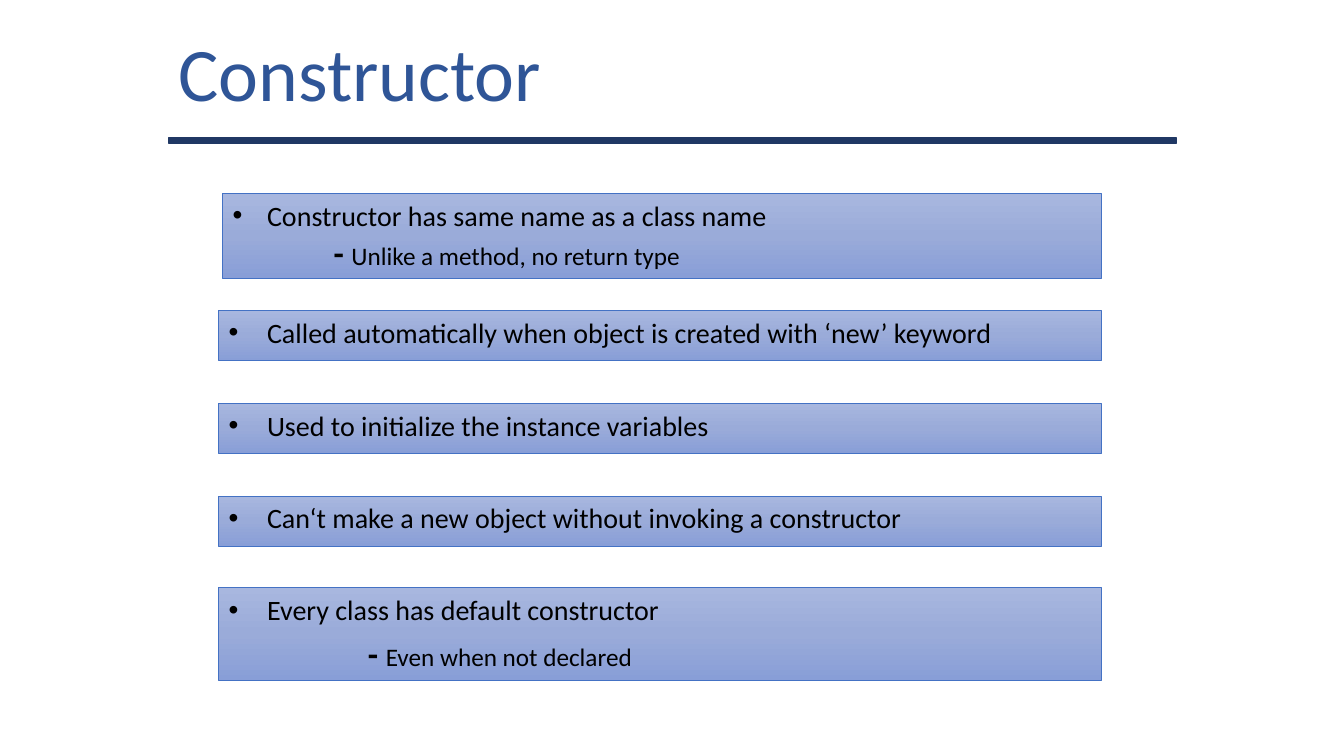
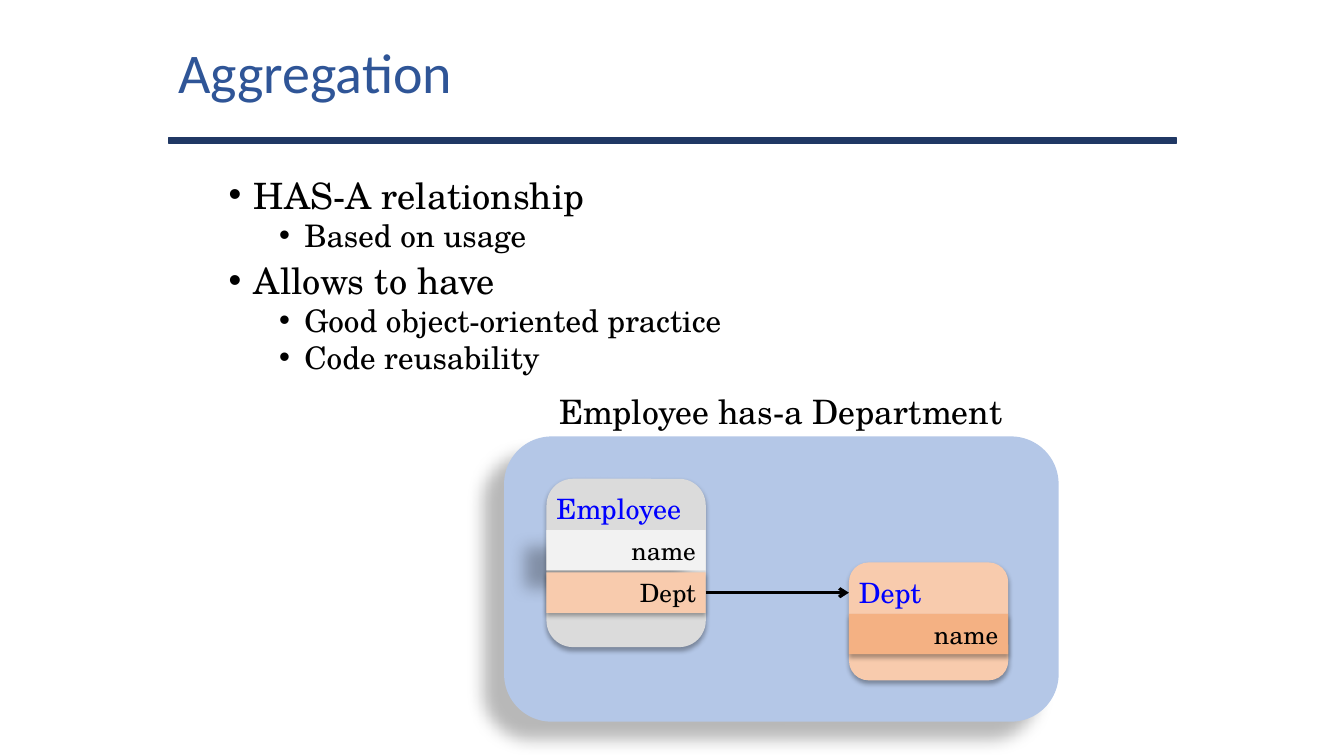
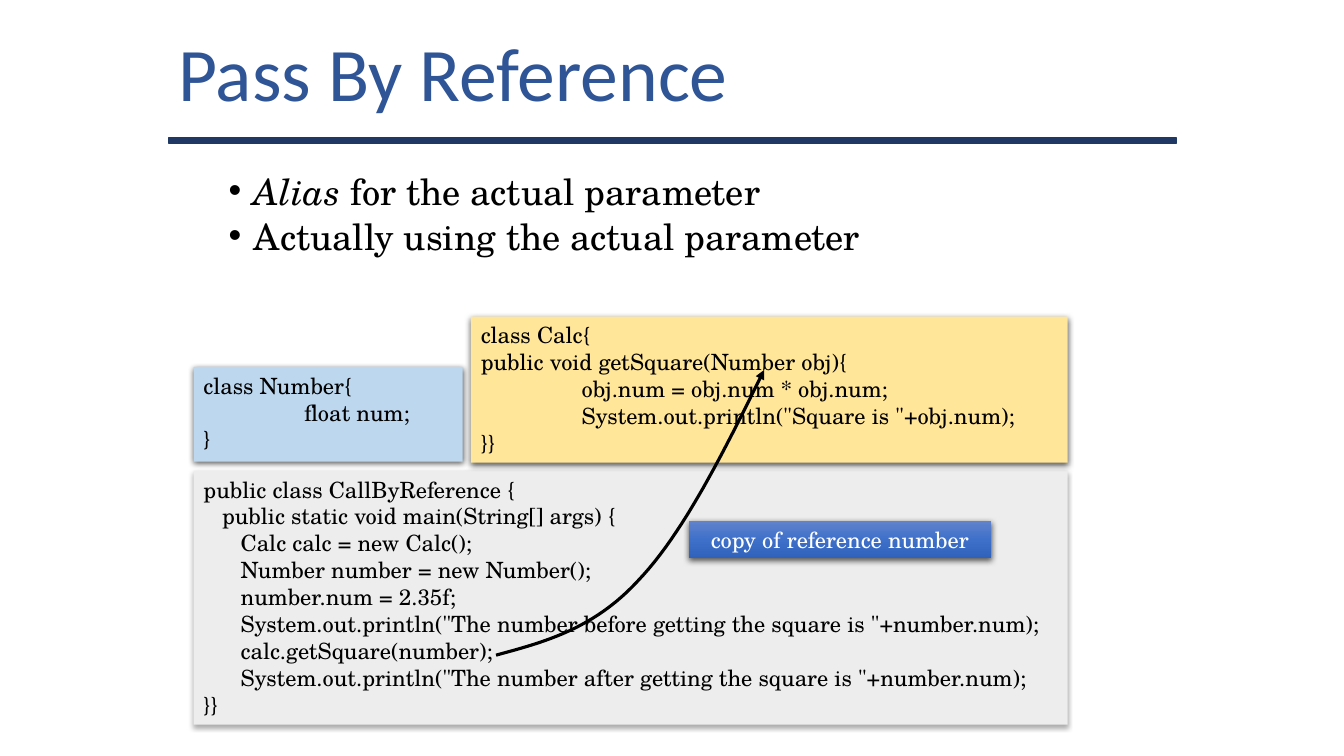
from copy import deepcopy

from lxml import etree
from pptx import Presentation
from pptx.dml.color import RGBColor
from pptx.enum import shapes, text
from pptx.oxml.ns import qn
from pptx.util import Inches, Pt

COLORS = {
    "navy": "203864", "title": "2F5597", "border": "4472C4",
    "black": "000000", "white": "FFFFFF", "class_name": "0000FF",
    "panel": "B4C7E7", "grey": "DBDBDB", "light_grey": "F2F2F2",
    "peach": "F8CBAD", "orange": "F4B183",
    "main_code": "EDEDED", "calc_code": "FFE699", "number_code": "BDD7EE",
}
PALE_GRADIENT = ("A8B7DF", "9AABD9", "889ED7")
BLUE_GRADIENT = ("6183CB", "3E70CA", "3062BB")
SANS, SERIF = "Calibri", "TeX Gyre Schola"

# Opacity in percent, blur and distance in points, direction in degrees
DEEP_SHADOW = (28, 11.8, 19.7, 141)
SOFT_SHADOW = (32, 3.5, 2.2, 90)
STRONG_SHADOW = (63, 4.5, 1.5, 90)

RECT = shapes.MSO_SHAPE.RECTANGLE
ROUNDED = shapes.MSO_SHAPE.ROUNDED_RECTANGLE
RIGHT, CENTER = text.PP_ALIGN.RIGHT, text.PP_ALIGN.CENTER


def rgb(name):
    return RGBColor.from_string(COLORS[name])


def inches(box):
    return [Inches(length) for length in box]


def style_font(font, size, color="black", name=SERIF, bold=None):
    font.size, font.name = Pt(size), name
    font.color.rgb = rgb(color)
    font.bold = bold


def set_indent(paragraph, left, first=0, bullet=False):
    props = paragraph._p.get_or_add_pPr()
    props.set("marL", str(Inches(left)))
    props.set("indent", str(Inches(first)))
    if bullet:
        etree.SubElement(props, qn("a:buFont"), typeface="Arial")
        etree.SubElement(props, qn("a:buChar"), char="•")


def set_tab(paragraph, position):
    props = paragraph._p.get_or_add_pPr()
    tabs = etree.SubElement(props, qn("a:tabLst"))
    etree.SubElement(tabs, qn("a:tab"), pos=str(Inches(position)), algn="l")


def add_paragraph(frame):
    """Return the empty first paragraph, or a new one after text."""
    first = frame.paragraphs[0]
    return frame.add_paragraph() if first.runs else first


def add_label(slide, box, words, size, align=None, color="black"):
    label = slide.shapes.add_textbox(*inches(box))
    label.text_frame.word_wrap = True
    paragraph = label.text_frame.paragraphs[0]
    paragraph.text, paragraph.alignment = words, align
    style_font(paragraph.font, size, color)
    return label


def set_shadow(shape, opacity, blur, distance, direction):
    effects = shape._element.spPr.find(qn("a:effectLst"))
    outer = etree.SubElement(
        effects, qn("a:outerShdw"), blurRad=str(Pt(blur)), dist=str(Pt(distance)),
        dir=str(direction * 60000), algn="ctr", rotWithShape="0")
    color = etree.SubElement(outer, qn("a:srgbClr"), val=COLORS["black"])
    etree.SubElement(color, qn("a:alpha"), val=str(opacity * 1000))


def set_gradient(shape, colors):
    """Fill from top to bottom with three evenly spaced colours."""
    shape.fill.gradient()
    shape.fill.gradient_angle = 270
    stop_list = shape._element.spPr.find(".//" + qn("a:gsLst"))
    stop_list.insert(1, deepcopy(stop_list[0]))
    for index, (stop, color) in enumerate(zip(shape.fill.gradient_stops, colors)):
        stop.position = index / 2
        stop.color.rgb = RGBColor.from_string(color)


def add_panel(slide, box, fill, shadow=None, kind=RECT):
    """Add a borderless shape; fill is a colour name or a gradient."""
    panel = slide.shapes.add_shape(kind, *inches(box))
    panel.shadow.inherit = False
    if isinstance(fill, str):
        panel.fill.solid()
        panel.fill.fore_color.rgb = rgb(fill)
    else:
        set_gradient(panel, fill)
    panel.line.fill.background()
    if shadow:
        set_shadow(panel, *shadow)
    panel.text_frame.word_wrap = True
    panel.text_frame.vertical_anchor = text.MSO_ANCHOR.TOP
    panel.text_frame.paragraphs[0].alignment = text.PP_ALIGN.LEFT
    return panel


def set_border(shape, color, width):
    shape.line.color.rgb = rgb(color)
    shape.line.width = Pt(width)


def set_arrow(line, head):
    set_border(line, "black", 2.25)
    etree.SubElement(line.line._get_or_add_ln(), qn("a:tailEnd"), type=head)


def start_slide(deck, heading, size):
    """Add a slide with the shared title and rule."""
    slide = deck.slides.add_slide(deck.slide_layouts[5])
    title = slide.shapes.title
    title.left, title.top, title.width, title.height = inches((1.67, 0, 7.83, 1.42))
    frame = title.text_frame
    frame.text = heading
    frame.auto_size = text.MSO_AUTO_SIZE.NONE
    frame.vertical_anchor = text.MSO_ANCHOR.MIDDLE
    frame.paragraphs[0].alignment = text.PP_ALIGN.LEFT
    style_font(frame.paragraphs[0].font, size, "title", SANS)

    rule = add_panel(slide, (1.67, 1.37, 10, 0.05), "navy")
    set_border(rule, "navy", 1)
    return slide


def add_fact(slide, box, fact, hang=0.38, detail=None, detail_indent=0, gap=0):
    """Add a gradient bar with a bulleted fact and an optional dashed detail."""
    bar = add_panel(slide, box, PALE_GRADIENT)
    set_border(bar, "border", 0.5)
    first = bar.text_frame.paragraphs[0]
    first.text = fact
    set_indent(first, hang, -hang, bullet=True)
    style_font(first.font, 20, name=SANS)
    if detail:
        second = bar.text_frame.add_paragraph()
        second.alignment = text.PP_ALIGN.LEFT
        second.space_before = Pt(gap)
        set_indent(second, detail_indent)
        for words, size, bold in (("- ", 24, True), (detail, 18, False)):
            run = second.add_run()
            run.text = words
            style_font(run.font, size, name=SANS, bold=bold)


def add_bullets(slide, box, bullets, spacing):
    """Add bullets given as (level, text, text...); the first of several texts is italic."""
    frame = slide.shapes.add_textbox(*inches(box)).text_frame
    frame.word_wrap = True
    for index, (level, *parts) in enumerate(bullets):
        paragraph = add_paragraph(frame)
        for words in parts:
            paragraph.add_run().text = words
        paragraph.level = level
        paragraph.line_spacing = spacing
        if index:
            paragraph.space_before = Pt(5 if level else 10)
        set_indent(paragraph, 0.25 + 0.5 * level, -0.25, bullet=True)
        style_font(paragraph.font, 22.2 if level else 25.9)
        if len(parts) > 1:
            paragraph.runs[0].font.italic = True


def add_class_card(slide, box, name, fill, fields):
    """Add a class with (name, fill, shadow) fields; return its label and rows."""
    left, top, width, _ = box
    add_panel(slide, box, fill, SOFT_SHADOW, ROUNDED)
    label = add_label(slide, (left, top + 0.08, width, 0.44), name, 20, color="class_name")
    rows = []
    for index, (field, row_fill, shadow) in enumerate(fields):
        row_box = (left, top + 0.51 + 0.42 * index, width, 0.4)
        row = add_panel(slide, row_box, row_fill, shadow)
        paragraph = row.text_frame.paragraphs[0]
        paragraph.text, paragraph.alignment = field, RIGHT
        style_font(paragraph.font, 18)
        rows.append(row)
    return label, rows


def add_has_a_diagram(slide, left, top):
    add_panel(slide, (left, top, 5.5, 2.83), "panel", DEEP_SHADOW, ROUNDED)
    _, employee_rows = add_class_card(
        slide, (left + 0.42, top + 0.42, 1.58, 1.67), "Employee", "grey",
        [("name", "light_grey", DEEP_SHADOW), ("Dept", "peach", SOFT_SHADOW)])
    dept_label, _ = add_class_card(
        slide, (left + 3.42, top + 1.25, 1.58, 1.17), "Dept", "peach",
        [("name", "orange", SOFT_SHADOW)])
    reference = slide.shapes.add_connector(shapes.MSO_CONNECTOR.STRAIGHT, 0, 0, 0, 0)
    reference.begin_connect(employee_rows[-1], 3)
    reference.end_connect(dept_label, 1)
    set_arrow(reference, "arrow")
    etree.SubElement(reference._element.spPr, qn("a:effectLst"))
    add_label(slide, (left + 0.08, top - 0.5, 5.33, 0.5),
              "Employee has-a Department", 24, align=CENTER)


def add_code(slide, box, fill, shadow, code):
    frame = add_panel(slide, box, fill, shadow).text_frame
    for line in code.splitlines():
        paragraph = add_paragraph(frame)
        paragraph.add_run().text = line
        paragraph.alignment = text.PP_ALIGN.LEFT
        set_tab(paragraph, 1)
        style_font(paragraph.font, 16)


def bezier(start, control1, control2, end, steps=24):
    """Return the points after the start of a cubic curve."""
    points = []
    for step in range(1, steps + 1):
        t = step / steps
        weights = ((1 - t) ** 3, 3 * t * (1 - t) ** 2, 3 * t ** 2 * (1 - t), t ** 3)
        points.append(tuple(
            Inches(sum(w * c for w, c in zip(weights, axis)))
            for axis in zip(start, control1, control2, end)))
    return points


def add_curved_arrow(slide, start, middle, end, controls):
    builder = slide.shapes.build_freeform(*inches(start))
    points = bezier(start, *controls[:2], middle) + bezier(middle, *controls[2:], end)
    builder.add_line_segments(points, close=False)
    arrow = builder.convert_to_shape()
    arrow.shadow.inherit = False
    arrow.fill.background()
    set_arrow(arrow, "triangle")


MAIN_CODE = '''public class CallByReference {
   public static void main(String[] args) {
      Calc calc = new Calc();
      Number number = new Number();
      number.num = 2.35f;
      System.out.println("The number before getting the square is "+number.num);
      calc.getSquare(number);
      System.out.println("The number after getting the square is "+number.num);
}}'''
CALC_CODE = '''class Calc{
public void getSquare(Number obj){
\tobj.num = obj.num * obj.num;
\tSystem.out.println("Square is "+obj.num);
}}'''
NUMBER_CODE = '''class Number{
\tfloat num;
}'''


def build_constructor(deck):
    slide = start_slide(deck, "Constructor", 54)
    add_fact(slide, (2.21, 1.92, 8.71, 0.84), "Constructor has same name as a class name",
             hang=0.34, detail="Unlike a method, no return type", detail_indent=1)
    facts = ("Called automatically when object is created with ‘new’ keyword",
             "Used to initialize the instance variables",
             "Can‘t make a new object without invoking a constructor")
    for index, fact in enumerate(facts):
        add_fact(slide, (2.17, 3.08 + 0.92 * index, 8.75, 0.5), fact)
    add_fact(slide, (2.17, 5.83, 8.75, 0.92), "Every class has default constructor",
             detail="Even when not declared", detail_indent=1.38, gap=4.8)


def build_aggregation(deck):
    slide = start_slide(deck, "Aggregation", 40)
    add_bullets(slide, (2.17, 1.75, 9, 2.17), [
        (0, "HAS-A relationship"),
        (1, "Based on usage"),
        (0, "Allows to have"),
        (1, "Good object-oriented practice"),
        (1, "Code reusability"),
    ], spacing=0.8)
    add_has_a_diagram(slide, 5, 4.33)


def build_pass_by_reference(deck):
    slide = start_slide(deck, "Pass By Reference", 54)
    add_bullets(slide, (2.17, 1.75, 9, 0.92), [
        (0, "Alias ", "for the actual parameter"),
        (0, "Actually using the actual parameter"),
    ], spacing=0.7)
    add_code(slide, (1.92, 4.67, 8.67, 2.52), "main_code", SOFT_SHADOW, MAIN_CODE)
    add_code(slide, (4.67, 3.14, 5.92, 1.45), "calc_code", STRONG_SHADOW, CALC_CODE)
    add_code(slide, (1.92, 3.64, 2.67, 0.94), "number_code", STRONG_SHADOW, NUMBER_CODE)
    note = add_panel(slide, (6.83, 5.17, 3, 0.37), BLUE_GRADIENT, STRONG_SHADOW)
    caption = note.text_frame.paragraphs[0]
    caption.text, caption.alignment = "copy of reference number", CENTER
    style_font(caption.font, 16, "white")
    add_curved_arrow(slide, (4.92, 6.5), (6.33, 5.76), (7.58, 3.67),
                     [(5.4, 6.37), (5.89, 6.24), (6.78, 5.29), (7.18, 4.48)])


def main():
    deck = Presentation()
    deck.slide_width, deck.slide_height = Inches(13.33), Inches(7.5)
    build_constructor(deck)
    build_aggregation(deck)
    build_pass_by_reference(deck)
    deck.save("out.pptx")


if __name__ == "__main__":
    main()
